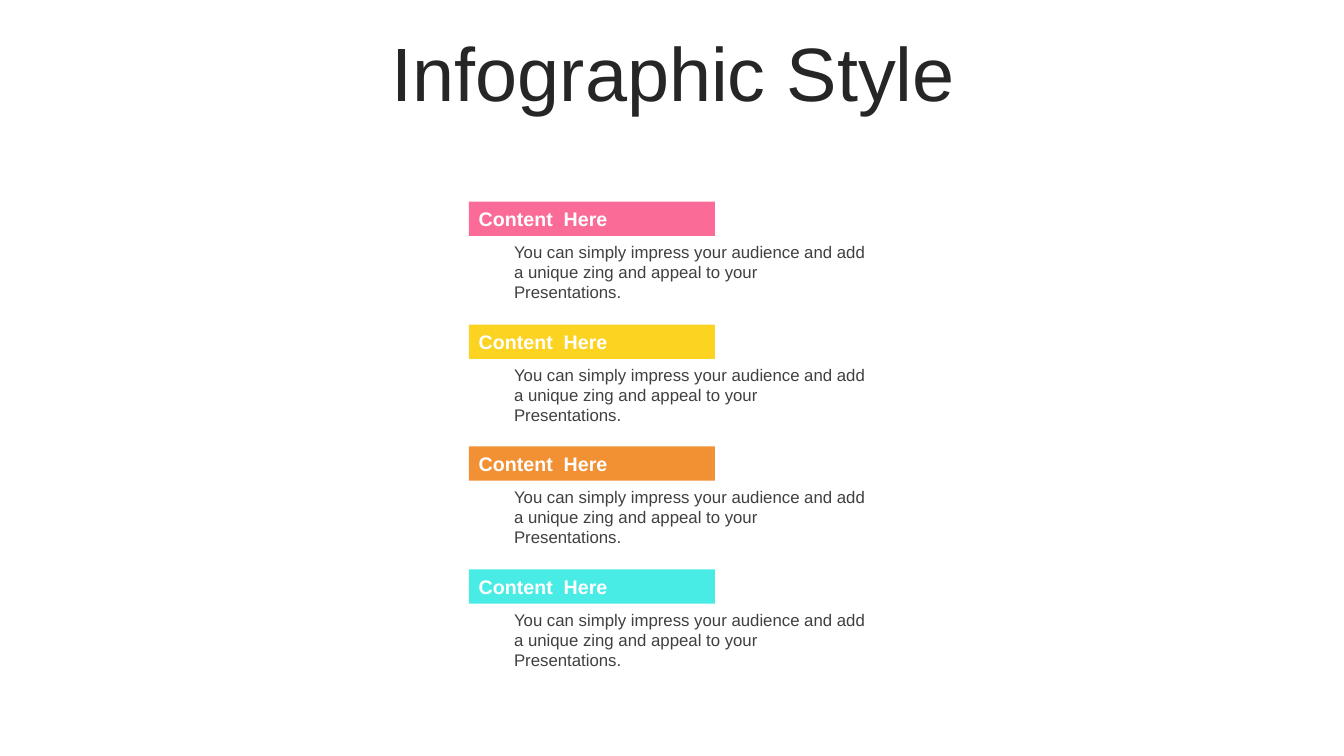
from dataclasses import dataclass

from pptx import Presentation
from pptx.dml.color import RGBColor
from pptx.enum.shapes import MSO_SHAPE
from pptx.enum.text import MSO_ANCHOR, MSO_AUTO_SIZE, PP_ALIGN
from pptx.util import Emu, Pt


@dataclass(frozen=True)
class Theme:
    """Colours, type sizes and font of the slide."""
    font: str = "Arial"
    title: str = "262626"
    body: str = "404040"
    label: str = "FFFFFF"
    bars: tuple = ("FB6B97", "FDD321", "F29034", "49ECE5")
    title_size: int = 54
    label_size: int = 14
    body_size: int = 12


class Deck:
    """Draws styled elements on the current slide, in px of 1/100 inch."""
    SCALE = 9144

    def __init__(self, prs, theme):
        """Add a slide that has a title placeholder."""
        self.theme = theme
        self.slide = prs.slides.add_slide(prs.slide_layouts[5])

    @classmethod
    def px(cls, *values):
        """Turn px into EMU lengths."""
        return [Emu(v * cls.SCALE) for v in values]

    def add_text(self, sp, text, size, color, bold=False, align=PP_ALIGN.LEFT,
                 anchor=MSO_ANCHOR.TOP, fit=MSO_AUTO_SIZE.SHAPE_TO_FIT_TEXT):
        """Put one styled run in a shape and return its paragraph."""
        tf = sp.text_frame
        tf.word_wrap = True
        tf.auto_size = fit
        tf.vertical_anchor = anchor
        p = tf.paragraphs[0]
        p.alignment = align
        r = p.add_run()
        r.text = text
        r.font.name = self.theme.font
        r.font.size = Pt(size)
        r.font.bold = bold
        r.font.color.rgb = RGBColor.from_string(color)
        return p

    def title(self, text, *box):
        """Fill and place the title placeholder."""
        sp = self.slide.shapes.title
        sp.left, sp.top, sp.width, sp.height = self.px(*box)
        p = self.add_text(sp, text, self.theme.title_size, self.theme.title,
                          align=PP_ALIGN.CENTER, anchor=MSO_ANCHOR.MIDDLE,
                          fit=MSO_AUTO_SIZE.NONE)
        p.line_spacing = 0.9

    def bar(self, shapes, text, color, *box):
        """Draw a coloured bar with a bold label."""
        sp = shapes.add_shape(MSO_SHAPE.RECTANGLE, *self.px(*box))
        sp.shadow.inherit = False
        sp.fill.solid()
        sp.fill.fore_color.rgb = RGBColor.from_string(color)
        sp.line.fill.background()
        self.add_text(sp, text, self.theme.label_size, self.theme.label,
                      bold=True, anchor=MSO_ANCHOR.MIDDLE)

    def note(self, shapes, text, *box):
        """Draw a body text box."""
        sp = shapes.add_textbox(*self.px(*box))
        self.add_text(sp, text, self.theme.body_size, self.theme.body)

    def item(self, label, text, color, left, top):
        """Group a labelled bar with the text below it."""
        shapes = self.slide.shapes.add_group_shape().shapes
        self.bar(shapes, label, color, left, top, 244, 34)
        self.note(shapes, text, left + 35, top + 35, 369, 50)


def main():
    """Build and save the slide."""
    prs = Presentation()
    prs.slide_width, prs.slide_height = Deck.px(1333, 750)
    theme = Theme()
    s = Deck(prs, theme)
    s.title("Infographic Style", 35, 37, 1266, 79)
    first, last = 200, 565
    gaps = len(theme.bars) - 1
    for i, color in enumerate(theme.bars):
        s.item("Content  Here",
               "You can simply impress your audience and add a unique zing "
               "and appeal to your Presentations.",
               color, 465, first + round(i * (last - first) / gaps))
    prs.save("out.pptx")


if __name__ == "__main__":
    main()
